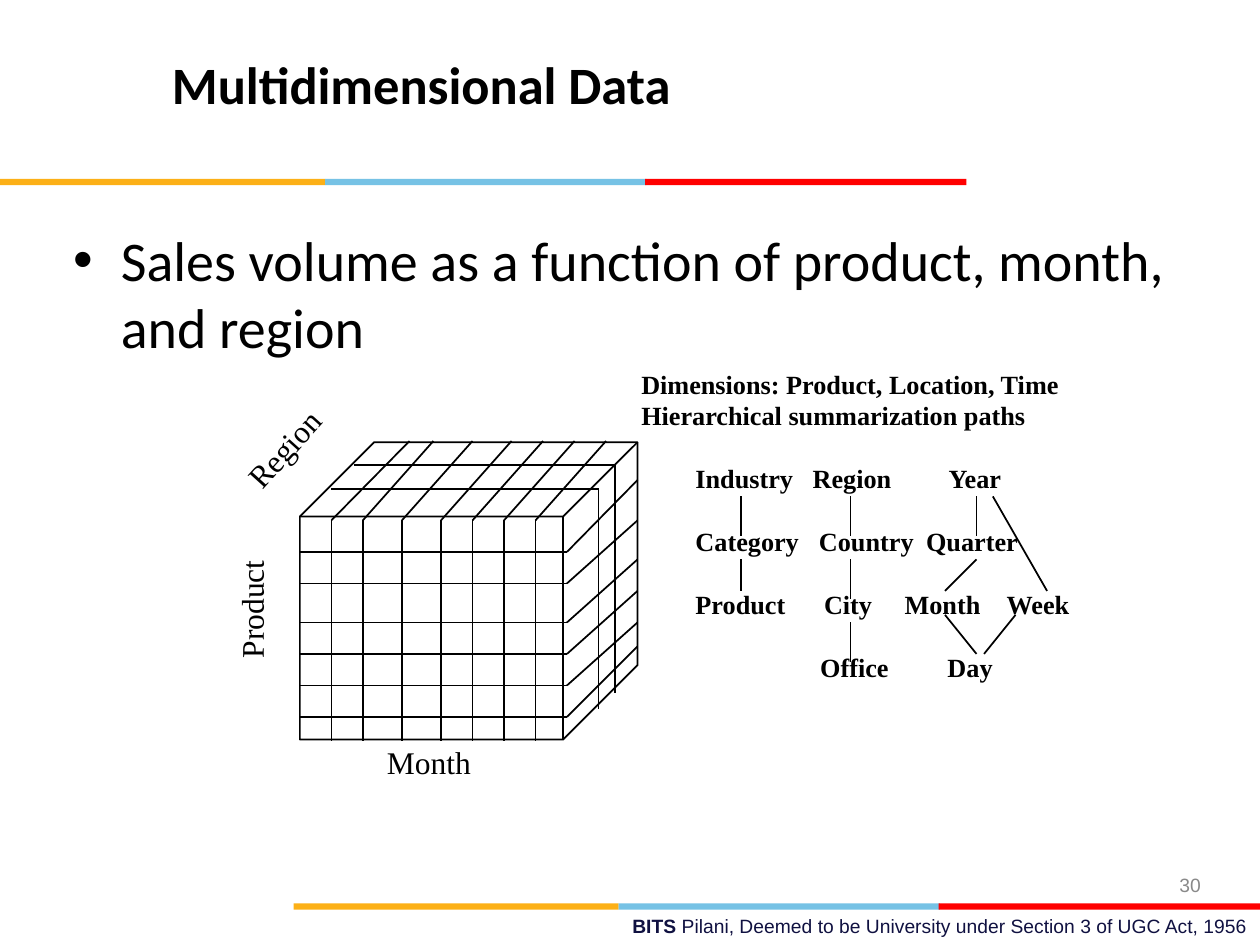
from dataclasses import dataclass

from lxml import etree
from pptx import Presentation
from pptx.dml.color import RGBColor
from pptx.enum.shapes import MSO_CONNECTOR, MSO_SHAPE
from pptx.enum.text import MSO_ANCHOR, PP_ALIGN
from pptx.oxml.ns import qn
from pptx.util import Inches, Pt

LEFT, CENTER, RIGHT = PP_ALIGN.LEFT, PP_ALIGN.CENTER, PP_ALIGN.RIGHT
TOP, MIDDLE = MSO_ANCHOR.TOP, MSO_ANCHOR.MIDDLE
RECT, CUBE = MSO_SHAPE.RECTANGLE, MSO_SHAPE.CUBE
STRAIGHT = MSO_CONNECTOR.STRAIGHT


@dataclass(frozen=True)
class Theme:
    ink: str = "000000"
    navy: str = "101141"
    gray: str = "898989"
    gold: str = "FCB017"
    sky: str = "76C2E5"
    red: str = "FF0000"
    sans: str = "Calibri"
    foot: str = "Arial"
    serif: str = "Times New Roman"
    title: float = 30
    body: float = 32
    axis: float = 18
    tree: float = 15
    page: float = 11
    note: float = 11


T = Theme()


@dataclass(frozen=True)
class Label:
    text: str
    left: float
    top: float
    width: float
    height: float
    size: float
    font: str
    color: str = T.ink
    bold: bool = False
    align: int = LEFT
    anchor: int = TOP
    turn: float = 0
    pad: tuple[float, float] = (0.08, 0.04)


@dataclass(frozen=True)
class Line:
    x1: float
    y1: float
    x2: float
    y2: float


@dataclass(frozen=True)
class Level:
    names: tuple[str, ...]
    stops: tuple[float, ...]  # distance of each later name from the left


def put_text(slide, item: Label):
    box = slide.shapes.add_textbox(Inches(item.left), Inches(item.top),
                                   Inches(item.width), Inches(item.height))
    box.rotation = item.turn
    frame = box.text_frame
    frame.word_wrap = True
    frame.vertical_anchor = item.anchor
    frame.margin_left = frame.margin_right = Inches(item.pad[0])
    frame.margin_top = frame.margin_bottom = Inches(item.pad[1])
    frame.text = item.text
    for para in frame.paragraphs:
        para.alignment = item.align
        for run in para.runs:
            run.font.size = Pt(item.size)
            run.font.name = item.font
            run.font.bold = item.bold
            run.font.color.rgb = RGBColor.from_string(item.color)
    return frame


def put_line(slide, line: Line) -> None:
    link = slide.shapes.add_connector(
        STRAIGHT, Inches(line.x1), Inches(line.y1),
        Inches(line.x2), Inches(line.y2))
    link.line.color.rgb = RGBColor.from_string(T.ink)
    link.line.width = Pt(1)
    etree.SubElement(link._element.spPr, qn("a:effectLst"))


def put_band(slide, left: float, top: float) -> None:
    for shift, width, color in ((0, 2.58, T.gold), (2.58, 2.55, T.sky),
                                (5.12, 2.55, T.red)):
        bar = slide.shapes.add_shape(RECT, Inches(left + shift), Inches(top),
                                     Inches(width), Inches(0.05))
        bar.shadow.inherit = False
        bar.fill.solid()
        bar.fill.fore_color.rgb = RGBColor.from_string(color)
        bar.line.fill.background()


def add_bullet(para, indent: float) -> None:
    props = para._p.get_or_add_pPr()
    props.set("marL", str(Inches(indent)))
    props.set("indent", str(-Inches(indent)))
    font = etree.SubElement(props, qn("a:buFont"))
    font.set("typeface", T.foot)
    etree.SubElement(props, qn("a:buChar")).set("char", "•")


def add_tabs(para, stops: tuple[float, ...]) -> None:
    tabs = etree.SubElement(para._p.get_or_add_pPr(), qn("a:tabLst"))
    for stop in stops:
        tab = etree.SubElement(tabs, qn("a:tab"))
        tab.set("pos", str(Inches(stop)))
        tab.set("algn", "l")


def put_cube(slide) -> None:
    cube = slide.shapes.add_shape(CUBE, Inches(2.38), Inches(3.51),
                                  Inches(2.68), Inches(2.36))
    cube.adjustments[0] = 0.25
    cube.shadow.inherit = False
    cube.fill.background()
    cube.line.color.rgb = RGBColor.from_string(T.ink)
    cube.line.width = Pt(1)

    # Product rows: across the front, then back along the side
    for front, back in ((4.38, 3.81), (4.63, 4.13), (4.94, 4.44),
                        (5.19, 4.69), (5.44, 4.94), (5.69, 5.13)):
        put_line(slide, Line(2.38, front, 4.5, front))
        put_line(slide, Line(4.5, front, 5.06, back))
    # Month columns: down the front, then back along the top
    for front, back in ((2.63, 3.25), (2.88, 3.44), (3.19, 3.75), (3.5, 4.06),
                        (3.75, 4.31), (4, 4.56), (4.25, 4.81)):
        put_line(slide, Line(front, 4.13, front, 5.88))
        put_line(slide, Line(front, 4.13, back, 3.5))
    # Region slices: across the top, then down the side
    for left, right, top, base in ((2.81, 4.88, 3.69, 5.5),
                                   (2.63, 4.75, 3.88, 5.63)):
        put_line(slide, Line(left, top, right, top))
        put_line(slide, Line(right, top, right, base))

    for axis in (
        Label("Product", 1.43, 4.55, 1.13, 0.38, T.axis, T.serif, turn=270),
        Label("Region", 1.89, 3.25, 1.07, 0.68, T.axis, T.serif, turn=312),
        Label("Month", 2.99, 5.86, 1.02, 0.38, T.axis, T.serif),
    ):
        put_text(slide, axis)


def put_tree(slide) -> None:
    levels = (
        Level(("Industry", "Region", "Year"), (0.93, 2.01)),
        Level(("Category", "Country", "Quarter"), (0.98, 1.83)),
        Level(("Product", "City", "Month", "Week"), (1.02, 1.66, 2.47)),
        Level(("", "Office", "Day"), (0.99, 2.0)),
    )
    text = "\n".join("\t".join(level.names) for level in levels)
    frame = put_text(slide, Label(text, 5.44, 3.63, 3.3, 1.83, T.tree, T.serif,
                                  bold=True))
    for row, (para, level) in enumerate(zip(frame.paragraphs, levels)):
        if row:
            para.space_before = Pt(18)
        add_tabs(para, level.stops)

    for link in (
        Line(5.88, 3.94, 5.88, 4.25), Line(5.88, 4.44, 5.88, 4.69),
        Line(6.75, 3.94, 6.75, 4.25), Line(6.75, 4.44, 6.75, 4.75),
        Line(6.75, 4.94, 6.75, 5.25), Line(7.75, 3.94, 7.75, 4.25),
        Line(7.75, 4.44, 7.5, 4.69), Line(7.88, 3.94, 8.31, 4.69),
        Line(7.5, 4.88, 7.75, 5.19), Line(8.06, 4.88, 7.81, 5.19),
    ):
        put_line(slide, link)


def main() -> None:
    deck = Presentation()
    deck.slide_width, deck.slide_height = Inches(10), Inches(7.5)
    slide = deck.slides.add_slide(deck.slide_layouts[6])

    # Footer and colour bands
    foot = put_text(slide, Label("BITS ", 3.58, 7.21, 6.42, 0.29, T.note, T.foot,
                                 T.navy, True, RIGHT, pad=(0.1, 0.05)))
    rest = foot.paragraphs[0].add_run()
    rest.text = "Pilani, Deemed to be University under Section 3 of UGC Act, 1956"
    rest.font.size = Pt(T.note)
    rest.font.name = T.foot
    rest.font.color.rgb = RGBColor.from_string(T.navy)
    put_band(slide, 2.33, 7.17)
    put_band(slide, 0, 1.42)

    # Title, body and page number
    put_text(slide, Label("Multidimensional Data", -0.31, 0.25, 7.31, 0.83, T.title,
                          T.sans, bold=True, align=CENTER, anchor=MIDDLE))
    body = put_text(slide, Label(
        "Sales volume as a function of product, month, and region",
        0.5, 1.75, 9, 4.95, T.body, T.sans))
    add_bullet(body.paragraphs[0], 0.38)
    put_text(slide, Label("30", 7.3, 6.82, 2.33, 0.4, T.page, T.foot, T.gray,
                          align=RIGHT, anchor=MIDDLE, pad=(0.1, 0.05)))

    # Data cube and summarization paths
    put_cube(slide)
    put_text(slide, Label(
        "Dimensions: Product, Location, Time\nHierarchical summarization paths",
        5.01, 2.88, 3.6, 0.58, T.tree, T.serif, bold=True))
    put_tree(slide)

    deck.save("out.pptx")


if __name__ == "__main__":
    main()
